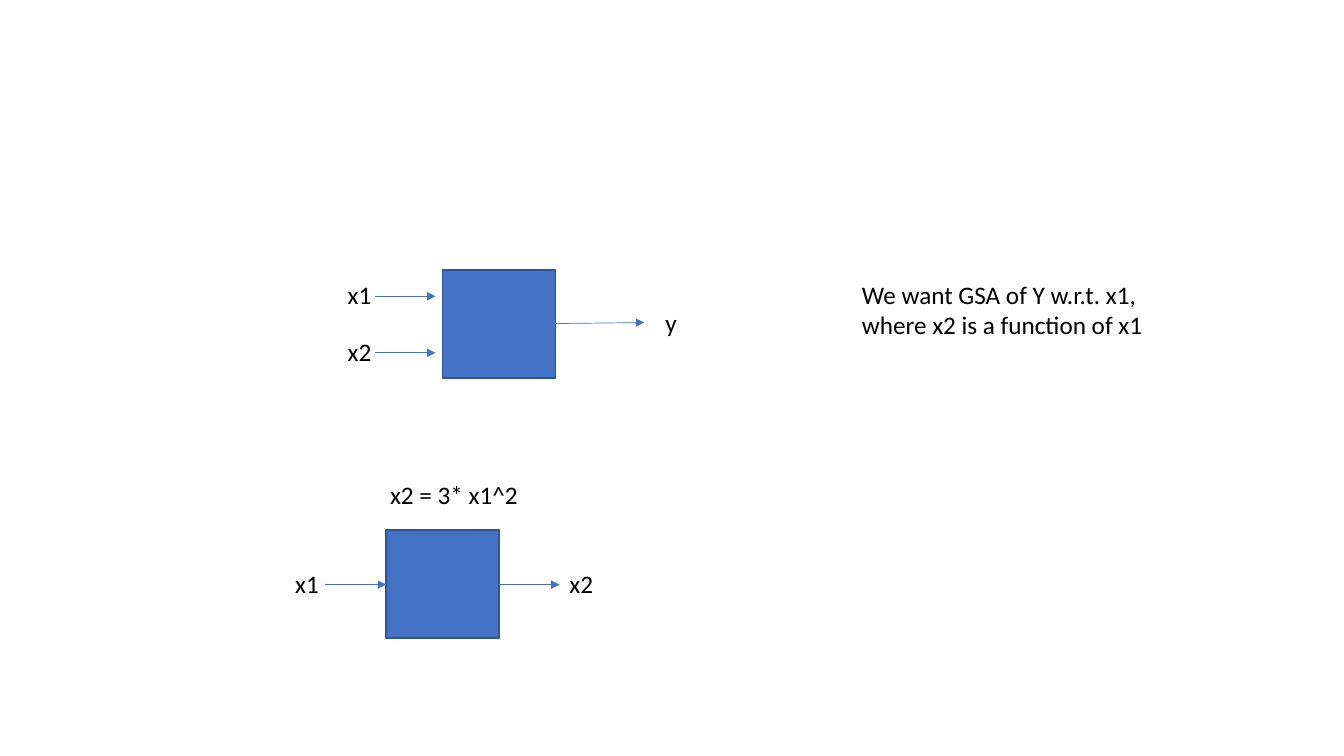
from pptx import Presentation
from pptx.dml.color import RGBColor
from pptx.enum.shapes import MSO_CONNECTOR, MSO_SHAPE
from pptx.enum.text import MSO_AUTO_SIZE
from pptx.oxml.ns import qn
from pptx.util import Emu, Pt
from lxml.etree import SubElement

PX = 9144  # EMU per px, 100 px to the inch
COLORS = {"fill": "4472C4", "edge": "325491", "text": "000000"}
FONT = {"name": "Calibri", "size": Pt(18)}


def px(*lengths):
    return [Emu(n * PX) for n in lengths]


def color(name):
    return RGBColor.from_string(COLORS[name])


prs = Presentation()
prs.slide_width, prs.slide_height = px(1333, 750)
slide = prs.slides.add_slide(prs.slide_layouts[6])

# Model boxes
for left, top in [(439, 268), (383, 526)]:
    sp = slide.shapes.add_shape(MSO_SHAPE.RECTANGLE, *px(left, top, 112, 107))
    sp.shadow.inherit = False
    sp.fill.solid()
    sp.fill.fore_color.rgb = color("fill")
    sp.line.color.rgb = color("edge")
    sp.line.width = Pt(1)

# Input and output arrows
arrows = [
    (372, 294, 432, 294),
    (372, 350, 432, 350),
    (550, 321, 639, 320),
    (322, 580, 383, 580),
    (494, 580, 555, 580),
]
for ends in arrows:
    arrow = slide.shapes.add_connector(MSO_CONNECTOR.STRAIGHT, *px(*ends))
    arrow.line.color.rgb = color("fill")
    arrow.line.width = Pt(0.5)
    SubElement(arrow.line._get_or_add_ln(), qn("a:tailEnd"), type="triangle")
    SubElement(arrow._element.spPr, qn("a:effectLst"))

# Labels and the note: text, left, top, width, height, wrap
labels = [
    ("x1", 335, 272, 44, 40, False),
    ("x2", 335, 329, 44, 40, False),
    ("y", 650, 300, 32, 40, False),
    ("x2 = 3* x1^2", 377, 471, 148, 40, False),
    ("x1", 283, 559, 44, 40, False),
    ("x2", 555, 559, 44, 40, False),
    ("We want GSA of Y w.r.t. x1, where x2 is a function of x1", 845, 272, 304, 71, True),
]
for text, left, top, width, height, wrap in labels:
    tf = slide.shapes.add_textbox(*px(left, top, width, height)).text_frame
    tf.word_wrap = wrap
    tf.auto_size = MSO_AUTO_SIZE.SHAPE_TO_FIT_TEXT
    r = tf.paragraphs[0].add_run()
    r.text = text
    for key, value in FONT.items():
        setattr(r.font, key, value)
    r.font.color.rgb = color("text")

prs.save("out.pptx")
